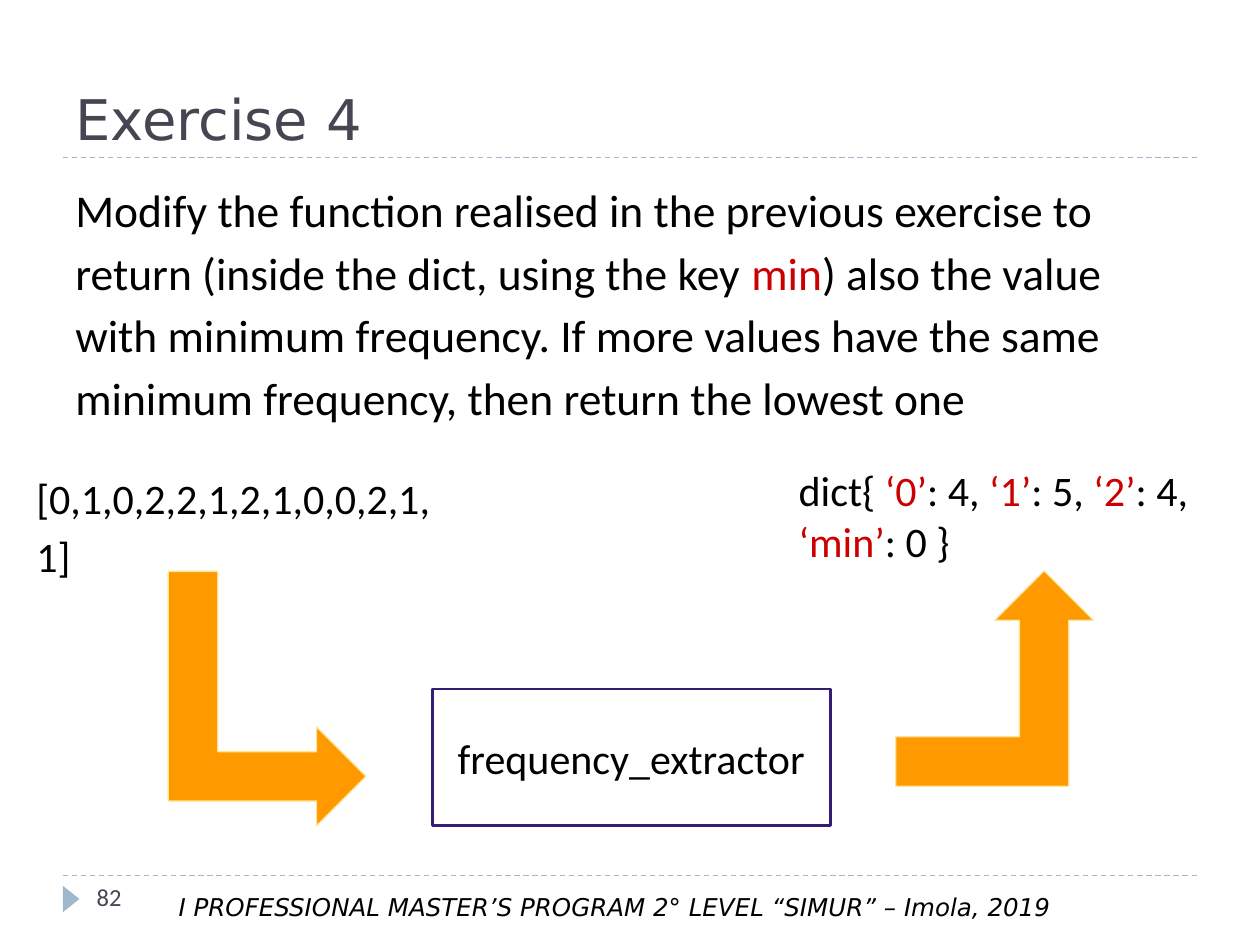
from lxml import etree
from pptx import Presentation
from pptx.dml.color import RGBColor
from pptx.enum import dml, shapes, text
from pptx.oxml import ns
from pptx.util import Pt

BLACK, RED, SLATE = "000000", "CC0000", "464653"
PALE_BLUE, ORANGE, CREAM, VIOLET = "9FB8CD", "FF9900", "FFE599", "351C75"
SANS, BODY = "DejaVu Sans", "Calibri"


def rgb(hex_code):
    return RGBColor.from_string(hex_code)


class Page:
    def __init__(self, slide):
        self.shapes = slide.shapes

    def label(self, shape, runs, size, font=BODY, inset=(7.2, 3.6),
              anchor=text.MSO_ANCHOR.TOP, italic=None, **paragraph_format):
        """Fill a shape with one paragraph of (wording, colour) runs."""
        frame = shape.text_frame
        side, edge = map(Pt, inset)
        frame_format = dict(word_wrap=True, vertical_anchor=anchor,
                            margin_left=side, margin_right=side,
                            margin_top=edge, margin_bottom=edge)
        for name, value in frame_format.items():
            setattr(frame, name, value)
        paragraph = frame.paragraphs[0]
        for name, value in paragraph_format.items():
            setattr(paragraph, name, value)
        for wording, colour in runs:
            run = paragraph.add_run()
            run.text = wording
            for name, value in dict(name=font, size=Pt(size), italic=italic).items():
                setattr(run.font, name, value)
            run.font.color.rgb = rgb(colour)

    def text(self, box, runs, size, **style):
        self.label(self.shapes.add_textbox(*map(Pt, box)), runs, size, **style)

    def shape(self, kind, box, fill=None, line=None, width=0.75, rotation=0, adjust=()):
        shape = self.shapes.add_shape(kind, *map(Pt, box))
        shape.shadow.inherit = False
        shape.rotation = rotation
        for index, value in enumerate(adjust):
            shape.adjustments[index] = value
        if fill:
            shape.fill.solid()
            shape.fill.fore_color.rgb = rgb(fill)
        else:
            shape.fill.background()
        if line:
            shape.line.color.rgb = rgb(line)
            shape.line.width = Pt(width)
        else:
            shape.line.fill.background()
        return shape

    def rule(self, y):
        """Draw a dashed line across the slide, between its margins."""
        rule = self.shapes.add_connector(
            shapes.MSO_CONNECTOR.STRAIGHT, *map(Pt, (36, y, 684, y)))
        rule.line.color.rgb = rgb(PALE_BLUE)
        rule.line.width = Pt(0.75)
        rule.line.dash_style = dml.MSO_LINE.DASH
        etree.SubElement(rule._element.spPr, ns.qn("a:effectLst"))


def main():
    deck = Presentation()
    deck.slide_width, deck.slide_height = Pt(720), Pt(540)
    page = Page(deck.slides.add_slide(deck.slide_layouts[6]))
    preset = shapes.MSO_SHAPE
    roomy = (7.2, 7.2)

    for y in (500.4, 90):
        page.rule(y)
    page.shape(preset.ISOSCELES_TRIANGLE, (33.1, 509, 15.1, 9.4), PALE_BLUE, rotation=90)

    page.text((36, 12.2, 648, 77.8), [("Exercise 4", SLATE)], 32, font=SANS,
              anchor=text.MSO_ANCHOR.BOTTOM)
    page.text((36, 95.8, 648, 396), [
        ("Modify the function realised in the previous exercise to return "
         "(inside the dict, using the key ", BLACK),
        ("min", RED),
        (") also the value with minimum frequency. If more values have the same "
         "minimum frequency, then return the lowest one", BLACK),
    ], 26, line_spacing=1.15)
    page.text((95, 506.2, 529.2, 24.5),
              [("I PROFESSIONAL MASTER’S PROGRAM 2° LEVEL “SIMUR” – Imola, 2019", BLACK)],
              14, font=SANS, italic=True)

    extractor = page.shape(preset.RECTANGLE, (247, 393.8, 227.5, 77.8),
                           line=VIOLET, width=1.5)
    page.label(extractor, [("frequency_extractor", BLACK)], 24, inset=roomy,
               anchor=text.MSO_ANCHOR.MIDDLE, alignment=text.PP_ALIGN.CENTER)

    page.text((13.7, 258.5, 251.3, 161.3), [("[0,1,0,2,2,1,2,1,0,0,2,1,1]", BLACK)],
              24, inset=roomy, line_spacing=1.15, space_after=Pt(16))
    page.text((449.3, 258.5, 257.8, 49), [
        ("dict{ ", BLACK), ("‘0’", RED), (": 4, ", BLACK), ("‘1’", RED),
        (": 5, ", BLACK), ("‘2’", RED), (": 4, ", BLACK), ("‘min’", RED),
        (": 0 }", BLACK),
    ], 24, inset=roomy)

    for box, rotation in (((79.9, 342.7, 145.4, 113), 90),
                          ((511.9, 326.2, 113, 123.1), 0)):
        page.shape(preset.BENT_UP_ARROW, box, ORANGE, CREAM,
                   rotation=rotation, adjust=(0.25, 0.25, 0.25))

    page.text((48.2, 500.4, 156.2, 28.8), [("82", SLATE)], 14)
    deck.save("out.pptx")


if __name__ == "__main__":
    main()
